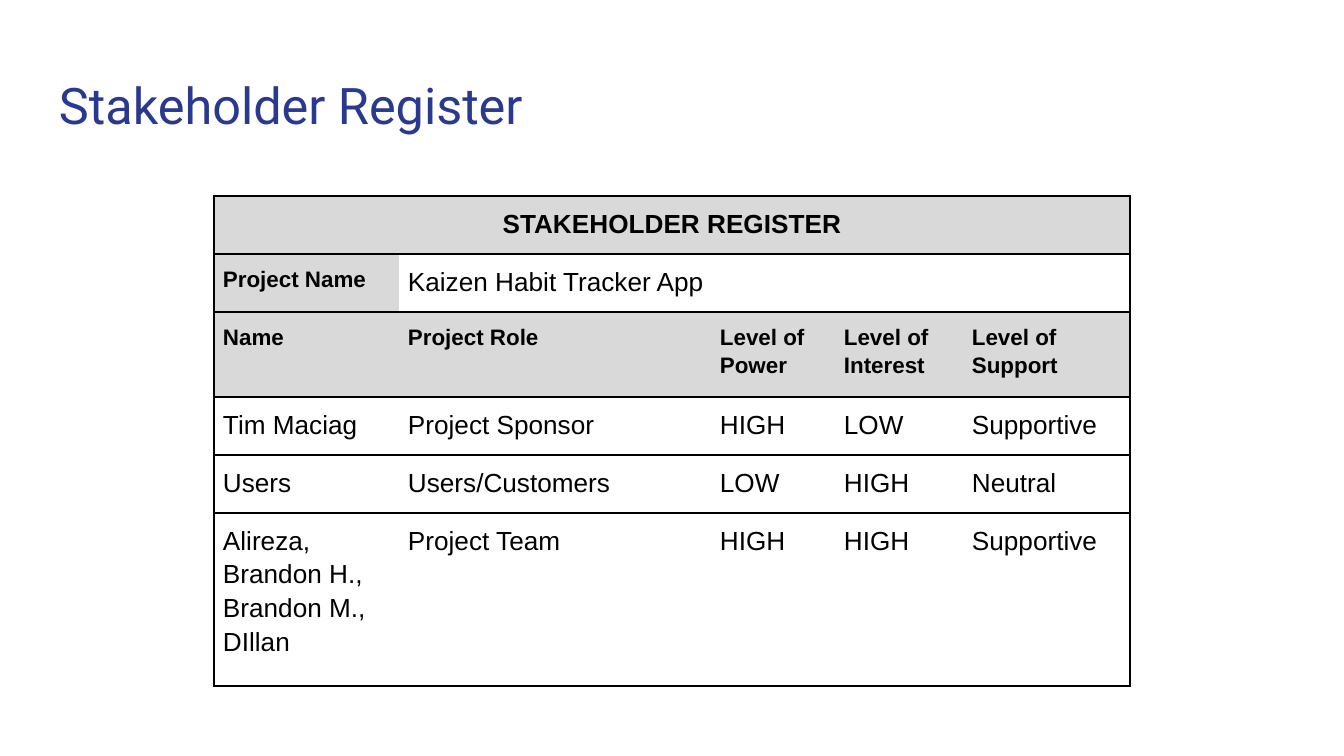
import dataclasses

import pptx
import pptx.dml.color
import pptx.enum.text
import pptx.oxml
import pptx.oxml.ns
import pptx.util

EMU_PER_PX = 914400 / 134.4
ALIGN = pptx.enum.text.PP_ALIGN


@dataclasses.dataclass(frozen=True)
class Theme:
    title_font: str = "Roboto"
    table_font: str = "Arial"
    title_color: str = "2A3990"
    ink: str = "000000"
    heading_fill: str = "D9D9D9"
    plain_fill: str = "FFFFFF"
    title_size: int = 27
    label_size: int = 12
    value_size: int = 14
    border_pt: int = 1


THEME = Theme()

COLUMN_WIDTHS = (185, 312, 124, 128, 167)
ROW_HEIGHTS = (58, 58, 85, 58, 58, 173)
CAPTION_ROW, PROJECT_ROW, HEADING_ROW = range(3)
REGISTER = (
    ("STAKEHOLDER REGISTER",),
    ("Project Name", "Kaizen Habit Tracker App"),
    ("Name", "Project Role", "Level of\nPower", "Level of\nInterest", "Level of Support"),
    ("Tim Maciag", "Project Sponsor", "HIGH", "LOW", "Supportive"),
    ("Users", "Users/Customers", "LOW", "HIGH", "Neutral"),
    ("Alireza, Brandon H., Brandon M., DIllan", "Project Team", "HIGH", "HIGH", "Supportive"),
)


def px(length):
    return pptx.util.Emu(round(length * EMU_PER_PX))


def rgb(value):
    return pptx.dml.color.RGBColor.from_string(value)


def apply_format(target, values):
    for attribute, value in values.items():
        setattr(target, attribute, value)


def format_text(frame, font_name, size, color, bold=False, align=ALIGN.LEFT, spacing=1.0):
    for paragraph in frame.paragraphs:
        apply_format(paragraph, {"alignment": align, "line_spacing": spacing})
        for run in paragraph.runs:
            apply_format(run.font, {"name": font_name, "size": pptx.util.Pt(size), "bold": bold})
            run.font.color.rgb = rgb(color)


def add_title(slide, wording):
    title = slide.shapes.title
    apply_format(title, {"left": px(46), "top": px(60), "width": px(1252), "height": px(89)})
    frame = title.text_frame
    frame.text = wording
    apply_format(frame, {
        "margin_left": px(13), "margin_right": px(13),
        "margin_top": px(13), "margin_bottom": px(13),
        "word_wrap": True,
        "auto_size": pptx.enum.text.MSO_AUTO_SIZE.NONE,
        "vertical_anchor": pptx.enum.text.MSO_ANCHOR.MIDDLE,
    })
    format_text(frame, THEME.title_font, THEME.title_size, THEME.title_color)


def set_borders(cell, drawn_sides):
    """Rule the given sides (L, R, T, B) and clear the others."""
    properties = cell._tc.get_or_add_tcPr()
    namespace = pptx.oxml.ns.nsdecls("a")
    for position, side in enumerate("LRTB"):
        if side in drawn_sides:
            paint = f'<a:solidFill><a:srgbClr val="{THEME.ink}"/></a:solidFill>'
        else:
            paint = "<a:noFill/>"
        width = pptx.util.Pt(THEME.border_pt)
        properties.insert(position, pptx.oxml.parse_xml(
            f'<a:ln{side} {namespace} w="{width}">{paint}</a:ln{side}>'))


def format_cell(cell, row, column):
    is_label = row == HEADING_ROW or (row == PROJECT_ROW and column == 0)
    is_heading = is_label or row == CAPTION_ROW
    apply_format(cell, {
        "margin_left": px(9), "margin_right": px(9),
        "margin_top": px(9), "margin_bottom": px(9),
        "vertical_anchor": pptx.enum.text.MSO_ANCHOR.TOP,
    })
    cell.fill.solid()
    cell.fill.fore_color.rgb = rgb(THEME.heading_fill if is_heading else THEME.plain_fill)
    format_text(
        cell.text_frame, THEME.table_font,
        THEME.label_size if is_label else THEME.value_size, THEME.ink,
        bold=is_heading,
        align=ALIGN.CENTER if row == CAPTION_ROW else ALIGN.LEFT,
        spacing=1.15,
    )
    last_filled = len(REGISTER[row]) - 1
    sides = "TB" + ("L" if column == 0 else "") + ("R" if column >= last_filled else "")
    set_borders(cell, sides)


def add_register(slide):
    last_column = len(COLUMN_WIDTHS) - 1
    table = slide.shapes.add_table(
        len(ROW_HEIGHTS), len(COLUMN_WIDTHS), px(214), px(196),
        px(sum(COLUMN_WIDTHS)), px(sum(ROW_HEIGHTS))).table
    apply_format(table, {"first_row": False, "horz_banding": False})
    for column, width in zip(table.columns, COLUMN_WIDTHS):
        column.width = px(width)
    for row, height in zip(table.rows, ROW_HEIGHTS):
        row.height = px(height)
    for row, entries in enumerate(REGISTER):
        last_filled = len(entries) - 1
        if last_filled < last_column:
            table.cell(row, last_filled).merge(table.cell(row, last_column))
        for column, entry in enumerate(entries):
            table.cell(row, column).text = entry
        for column in range(len(COLUMN_WIDTHS)):
            format_cell(table.cell(row, column), row, column)


def main():
    presentation = pptx.Presentation()
    apply_format(presentation, {"slide_width": px(1344), "slide_height": px(756)})
    slide = presentation.slides.add_slide(presentation.slide_layouts.get_by_name("Title Only"))
    add_title(slide, "Stakeholder Register")
    add_register(slide)
    presentation.save("out.pptx")


if __name__ == "__main__":
    main()
